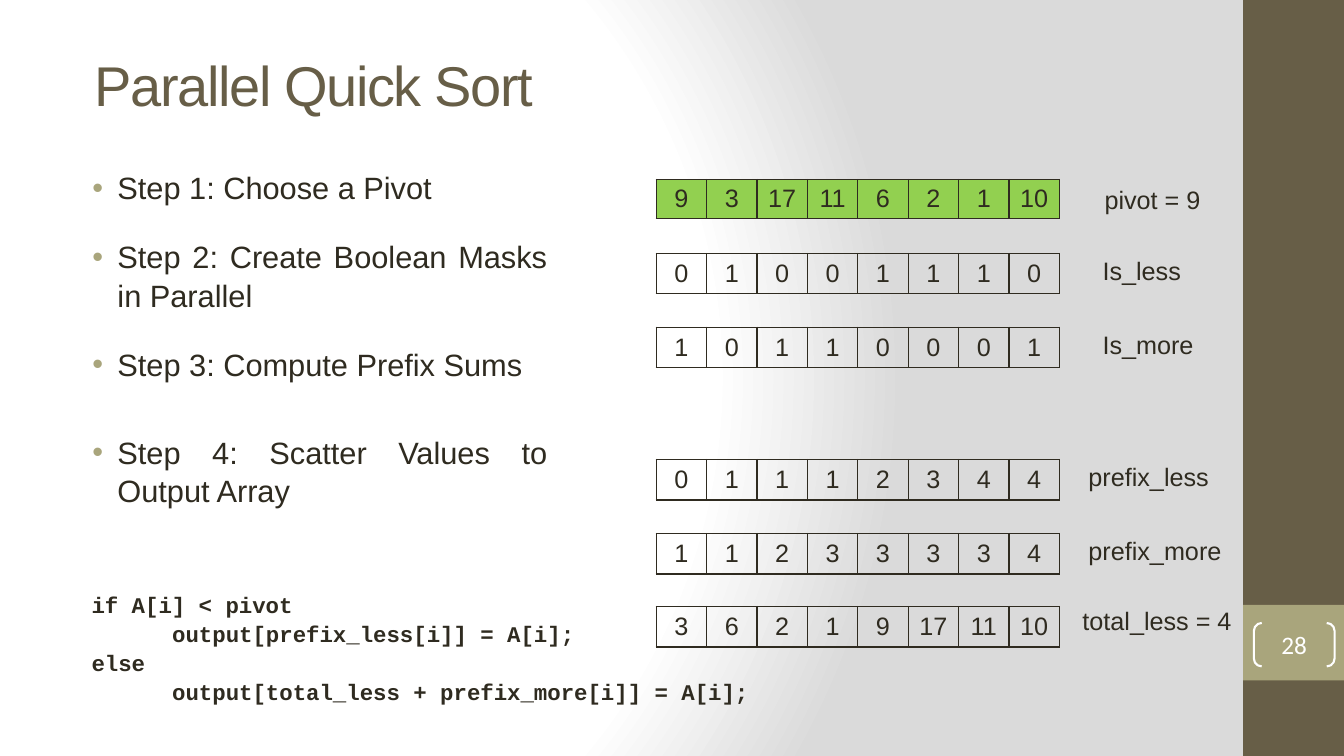
"""Build the Parallel Quick Sort slide."""
from lxml import etree
from pptx import Presentation
from pptx.dml.color import RGBColor
from pptx.enum.shapes import MSO_SHAPE
from pptx.enum.text import MSO_ANCHOR, MSO_AUTO_SIZE, PP_ALIGN
from pptx.oxml import parse_xml
from pptx.oxml.ns import nsdecls, qn
from pptx.util import Pt

RECT, BRACKETS = MSO_SHAPE.RECTANGLE, MSO_SHAPE.DOUBLE_BRACKET
MIDDLE, TOP = MSO_ANCHOR.MIDDLE, MSO_ANCHOR.TOP
LEFT, CENTER, JUSTIFY = PP_ALIGN.LEFT, PP_ALIGN.CENTER, PP_ALIGN.JUSTIFY
NO_FIT = MSO_AUTO_SIZE.NONE

COLORS = {"ink": "2F2B20", "brown": "675E47", "khaki": "A9A57C",
          "green": "92D050", "white": "FFFFFF", "gray": "DADADA"}
TITLE = "Parallel Quick Sort"
PAGE = "28"
STEPS = [("Step 1: Choose a Pivot", 0),
         ("Step 2: Create Boolean Masks in Parallel", 21.5),
         ("Step 3: Compute Prefix Sums", 21.5),
         ("Step 4: Scatter Values to Output Array", 35)]
CODE = [("if A[i] < pivot", 0),
        ("output[prefix_less[i]] = A[i];", 1),
        ("else", 0),
        ("output[total_less + prefix_more[i]] = A[i];", 1)]
# top, row height, fill, values, label, label left, label top
ARRAYS = [
    (128.2, 28, "green", [9, 3, 17, 11, 6, 2, 1, 10], "pivot = 9", 781.9, 128.2),
    (181, 28, None, [0, 1, 0, 0, 1, 1, 1, 0], "Is_less", 780.5, 178.6),
    (233.8, 28, None, [1, 0, 1, 1, 0, 0, 0, 1], "Is_more", 780.5, 231.8),
    (328.2, 29, None, [0, 1, 1, 1, 2, 3, 4, 4], "prefix_less", 770.4, 326.2),
    (381, 29, None, [1, 1, 2, 3, 3, 3, 3, 4], "prefix_more", 770.4, 378.7),
    (433.2, 29, None, [3, 6, 2, 1, 9, 17, 11, 10], "total_less = 4", 766.1, 429.1),
]
ARRAY_LEFT, CELL_W = 468.7, 36
LABEL_W, LABEL_H = 129.6, 28.8
CODE_LEFT, CODE_INDENT = 72, 57.6


def rgb(name):
    return RGBColor.from_string(COLORS[name])


def style(p, size, color="ink", font="Arial", bold=False, align=LEFT):
    p.alignment = align
    for r in p.runs:
        r.font.size, r.font.name, r.font.bold = Pt(size), font, bold
        r.font.color.rgb = rgb(color)


def place(sp, left, top, width, height):
    sp.left, sp.top, sp.width, sp.height = map(Pt, (left, top, width, height))


def add_text(s, left, top, width, height):
    tf = s.shapes.add_textbox(*map(Pt, (left, top, width, height))).text_frame
    tf.word_wrap = True
    return tf


def add_bar(s, top, height, color):
    sp = s.shapes.add_shape(RECT, Pt(888), Pt(top), Pt(72), Pt(height))
    sp.shadow.inherit = False
    sp.fill.solid()
    sp.fill.fore_color.rgb = rgb(color)
    sp.line.fill.background()


def set_background(s):
    s.background.fill.solid()
    bg = s.element.xpath(".//p:bgPr")[0]
    stops = "".join(
        f'<a:gs pos="{pos}"><a:srgbClr val="{COLORS[c]}"/></a:gs>'
        for pos, c in [(0, "white"), (75000, "white"), (100000, "gray")])
    bg.replace(bg[0], parse_xml(
        f'<a:gradFill {nsdecls("a")} rotWithShape="1"><a:gsLst>{stops}</a:gsLst>'
        '<a:path path="circle"><a:fillToRect l="20000" t="50000" r="100000" '
        'b="50000"/></a:path></a:gradFill>'))


def add_borders(cell):
    tc_pr = cell._tc.get_or_add_tcPr()
    for i, side in enumerate("LRTB"):
        tc_pr.insert(i, parse_xml(
            f'<a:ln{side} {nsdecls("a")} w="12700"><a:solidFill>'
            f'<a:srgbClr val="{COLORS["ink"]}"/></a:solidFill></a:ln{side}>'))


def add_array(s, top, height, fill, values):
    n = len(values)
    table = s.shapes.add_table(1, n, Pt(ARRAY_LEFT), Pt(top),
                               Pt(n * CELL_W), Pt(height)).table
    table.first_row = table.horz_banding = False
    for cell, value in zip(table.iter_cells(), values):
        cell.text = str(value)
        cell.vertical_anchor = MIDDLE
        style(cell.text_frame.paragraphs[0], 18, align=CENTER)
        if fill:
            cell.fill.solid()
            cell.fill.fore_color.rgb = rgb(fill)
        else:
            cell.fill.background()
        add_borders(cell)


def fill_title(sp):
    place(sp, 60.5, 43.9, 785.5, 32.4)
    tf = sp.text_frame
    tf.text, tf.vertical_anchor, tf.auto_size = TITLE, MIDDLE, NO_FIT
    p = tf.paragraphs[0]
    style(p, 40, "brown")
    p.runs[0].font._element.set("spc", "-100")


def fill_steps(sp):
    place(sp, 49.7, 115.9, 348.5, 424.1)
    tf = sp.text_frame
    tf.text = "\n".join(text for text, _ in STEPS)
    tf.vertical_anchor, tf.auto_size = TOP, NO_FIT
    for p, (_, gap) in zip(tf.paragraphs, STEPS):
        style(p, 22, align=JUSTIFY)
        p.space_before, p.line_spacing = Pt(gap), 1.05
        p_pr = p._p.get_or_add_pPr()
        p_pr.set("marL", str(Pt(27)))
        p_pr.set("indent", str(Pt(-18)))
        color = etree.SubElement(p_pr, qn("a:buClr"))
        etree.SubElement(color, qn("a:srgbClr"), val=COLORS["khaki"])


def add_code(s):
    tf = add_text(s, -13.7, 417.6, 589.7, 85)
    tf.text = "\n".join(text for text, _ in CODE)
    for p, (_, level) in zip(tf.paragraphs, CODE):
        style(p, 16, font="Courier New", bold=True)
        p.line_spacing = 1.07
        p._p.get_or_add_pPr().set("marL", str(Pt(CODE_LEFT + level * CODE_INDENT)))


def add_page_number(s):
    sp = s.shapes.add_shape(BRACKETS, Pt(895.7), Pt(445), Pt(57.6), Pt(31))
    sp.adjustments[0] = 0.18
    sp.shadow.inherit = False
    sp.fill.background()
    sp.line.color.rgb, sp.line.width = rgb("white"), Pt(1.5)
    tf = sp.text_frame
    tf.margin_left = tf.margin_right = tf.margin_top = tf.margin_bottom = 0
    tf.text, tf.vertical_anchor = PAGE, MIDDLE
    style(tf.paragraphs[0], 18, "white", "Calibri", align=CENTER)


def main():
    prs = Presentation()
    prs.slide_width, prs.slide_height = Pt(960), Pt(540)
    s = prs.slides.add_slide(prs.slide_layouts[1])
    set_background(s)
    add_bar(s, 0, 540, "brown")
    add_bar(s, 432, 54, "khaki")
    fill_title(s.shapes.title)
    fill_steps(s.placeholders[1])
    add_page_number(s)
    for top, height, fill, values, label, left, label_top in ARRAYS:
        add_array(s, top, height, fill, values)
        tf = add_text(s, left, label_top, LABEL_W, LABEL_H)
        tf.text = label
        style(tf.paragraphs[0], 18)
    add_code(s)
    prs.save("out.pptx")


if __name__ == "__main__":
    main()
